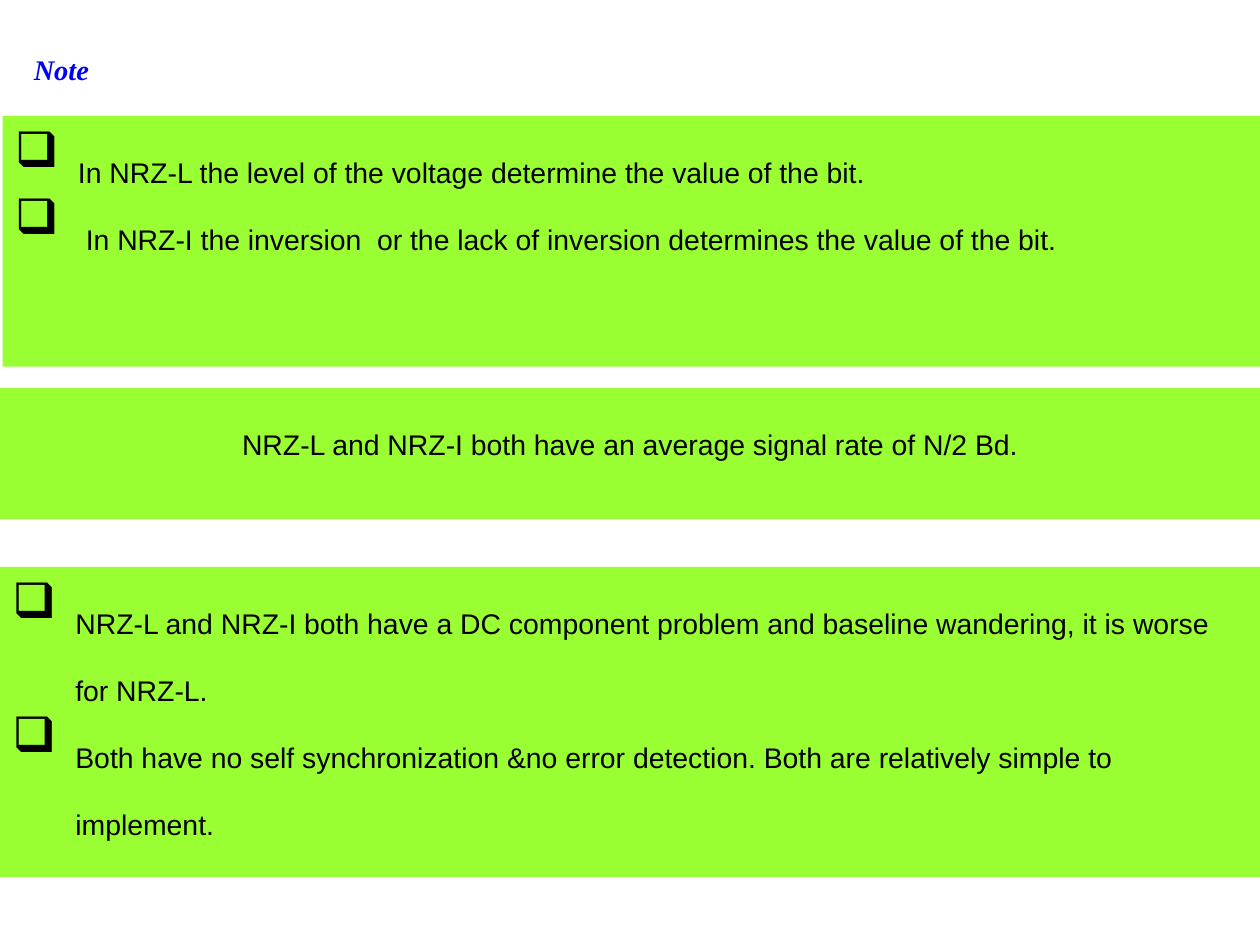
from dataclasses import dataclass

import pptx
import pptx.dml.color
import pptx.enum.shapes
import pptx.enum.text
import pptx.oxml.ns
import pptx.util
from lxml import etree

Inches = pptx.util.Inches
ALIGN = pptx.enum.text.PP_ALIGN

GREEN = "99FF33"
BLACK = "000000"
BLUE = "0000FF"
HANGING_INDENT = Inches(0.5)


@dataclass
class Panel:
    left: float
    top: float
    width: float
    height: float
    lines: list[str]
    bulleted: bool = True


PANELS = [
    Panel(0.02, 0.92, 9.98, 1.99, [
        "In NRZ-L the level of the voltage determine the value of the bit.",
        " In NRZ-I the inversion  or the lack of inversion determines the value of the bit.",
    ]),
    Panel(0, 3.08, 10, 1.04, [
        "NRZ-L and NRZ-I both have an average signal rate of N/2 Bd.",
    ], bulleted=False),
    Panel(0, 4.5, 10, 2.46, [
        "NRZ-L and NRZ-I both have a DC component problem and baseline wandering, "
        "it is worse for NRZ-L.",
        "Both have no self synchronization &no error detection. "
        "Both are relatively simple to implement.",
    ]),
]


def color(value: str) -> pptx.dml.color.RGBColor:
    return pptx.dml.color.RGBColor.from_string(value)


def write_line(paragraph, text: str, font_name: str, font_color: str) -> None:
    """Write one 28 pt line, lowered as subscript."""
    run = paragraph.add_run()
    run.text = text
    run.font._element.set("baseline", "-25000")
    paragraph.font.size = pptx.util.Pt(28)
    paragraph.font.name = font_name
    paragraph.font.color.rgb = color(font_color)


def add_bullet(paragraph) -> None:
    properties = paragraph._p.get_or_add_pPr()
    properties.set("marL", str(HANGING_INDENT))
    properties.set("indent", str(-HANGING_INDENT))
    bullet = etree.Element(pptx.oxml.ns.qn("a:buChar"), char="❑")
    properties.insert(0, bullet)


def add_panel(slide, panel: Panel) -> None:
    shape = slide.shapes.add_shape(
        pptx.enum.shapes.MSO_SHAPE.RECTANGLE,
        Inches(panel.left), Inches(panel.top),
        Inches(panel.width), Inches(panel.height))
    shape.shadow.inherit = False
    shape.fill.solid()
    shape.fill.fore_color.rgb = color(GREEN)
    shape.line.fill.background()

    frame = shape.text_frame
    frame.word_wrap = True
    frame.vertical_anchor = pptx.enum.text.MSO_ANCHOR.TOP
    for index, line in enumerate(panel.lines):
        paragraph = frame.add_paragraph() if index else frame.paragraphs[0]
        paragraph.alignment = ALIGN.LEFT if panel.bulleted else ALIGN.CENTER
        write_line(paragraph, line, "Arial", BLACK)
        if panel.bulleted:
            add_bullet(paragraph)


def add_heading(slide) -> None:
    box = slide.shapes.add_textbox(
        Inches(0.17), Inches(0.1), Inches(0.96), Inches(0.57))
    box.text_frame.word_wrap = False
    paragraph = box.text_frame.paragraphs[0]
    paragraph.alignment = ALIGN.LEFT
    write_line(paragraph, "Note", "Times New Roman", BLUE)
    paragraph.font.bold = True
    paragraph.font.italic = True


def main() -> None:
    presentation = pptx.Presentation()
    presentation.slide_width = Inches(10)
    presentation.slide_height = Inches(7.5)
    slide = presentation.slides.add_slide(presentation.slide_layouts[6])

    # Heading
    add_heading(slide)

    # Green note panels
    for panel in PANELS:
        add_panel(slide, panel)

    presentation.save("out.pptx")


if __name__ == "__main__":
    main()
